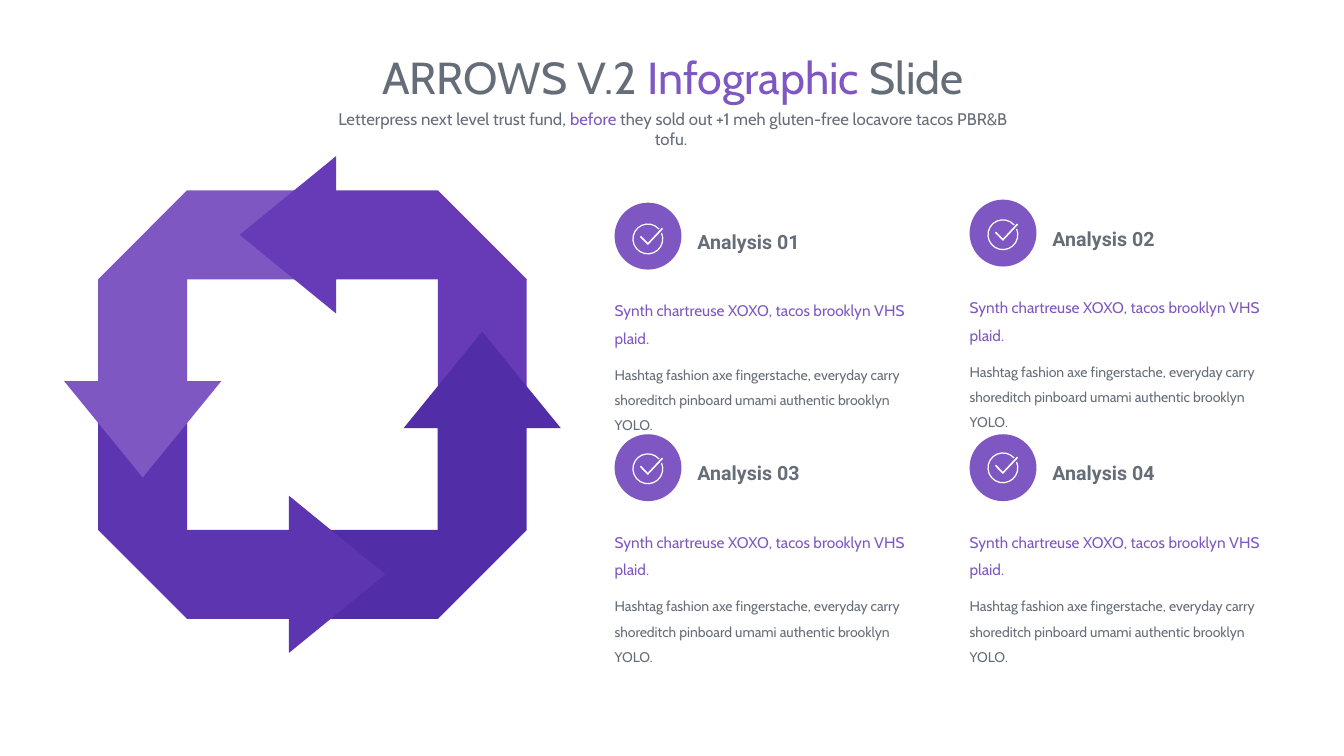
from math import cos, radians, sin

from pptx import Presentation
from pptx.dml.color import RGBColor
from pptx.enum.shapes import MSO_SHAPE
from pptx.enum.text import MSO_ANCHOR, MSO_AUTO_SIZE, PP_ALIGN
from pptx.util import Pt

ROUND = MSO_SHAPE.ROUNDED_RECTANGLE
TOP, MIDDLE = MSO_ANCHOR.TOP, MSO_ANCHOR.MIDDLE
LEFT, CENTER = PP_ALIGN.LEFT, PP_ALIGN.CENTER
FIXED = MSO_AUTO_SIZE.NONE

COLORS = {
    "gray": "656D78",
    "violet": "7E57C2",
    "purple": "673AB7",
    "indigo": "512DA8",
    "plum": "5E35B1",
    "white": "FFFFFF",
}
FRAME = {"word_wrap": True, "auto_size": FIXED, "vertical_anchor": TOP}
INSET = {side: Pt(0) for side in
         ("margin_left", "margin_top", "margin_right", "margin_bottom")}
TITLE = {"name": "Cabin", "size": Pt(32), "bold": False}
INTRO = {"name": "Cabin", "size": Pt(12)}
LABEL = {"name": "Roboto", "size": Pt(14), "bold": True}
LEAD = {"name": "Cabin", "size": Pt(11)}
BODY = {"name": "Cabin", "size": Pt(10)}


def color(name):
    return RGBColor.from_string(COLORS[name])


def apply(target, values):
    for key, value in values.items():
        setattr(target, key, value)


def write(para, runs, font, **layout):
    apply(para, layout)
    for text, tint in runs:
        run = para.add_run()
        run.text = text
        apply(run.font, font)
        run.font.color.rgb = color(tint)


def add_text(slide, x, y, w, h, **extra):
    box = slide.shapes.add_textbox(Pt(x), Pt(y), Pt(w), Pt(h))
    apply(box.text_frame, {**FRAME, **extra})
    return box.text_frame


def paint(shape, tint):
    shape.shadow.inherit = False
    shape.fill.solid()
    shape.fill.fore_color.rgb = color(tint)
    shape.line.fill.background()


def draw(slide, x, y, paths, tint):
    paths = [[(Pt(x + dx), Pt(y + dy)) for dx, dy in path] for path in paths]
    pen = slide.shapes.build_freeform(*paths[0][0])
    pen.add_line_segments(paths[0][1:], close=True)
    for path in paths[1:]:
        pen.move_to(*path[0])
        pen.add_line_segments(path[1:], close=True)
    paint(pen.convert_to_shape(), tint)


def add_head(slide, x, y, w):
    title = slide.shapes.title
    apply(title, {"left": Pt(x), "top": Pt(y), "width": Pt(w), "height": Pt(46)})
    apply(title.text_frame, FRAME)
    write(title.text_frame.paragraphs[0],
          [("ARROWS V.2 ", "gray"), ("Infographic ", "violet"), ("Slide", "gray")],
          TITLE, alignment=CENTER)
    intro = add_text(slide, x + 47.4, y + 42.4, w - 94.4, 21.8)
    write(intro.paragraphs[0],
          [("Letterpress next level trust fund, ", "gray"), ("before", "violet"),
           (" they sold out +1 meh gluten-free locavore tacos PBR&B tofu. ", "gray")],
          INTRO, alignment=CENTER)


def turn(points, count):
    for _ in range(count):
        points = [(-y, x) for x, y in points]
    return points


def add_cycle(slide, x, y, size):
    out = size / 2
    inn, neck, tip = out * 0.585, out * 0.11, out * -0.34
    mid = (out + inn) / 2
    wing = out * 0.367
    tail = [(inn, -out), (inn, neck), (out, neck), (out, -inn)]
    arrow = [(out, -inn), (inn, -out), (neck, -out), (neck, -mid - wing),
             (tip, -mid), (neck, -mid + wing), (neck, -inn)]
    tints = ["purple", "indigo", "plum", "violet"]
    parts = [(part, step) for step in range(4) for part in (tail, arrow)]
    parts.append(parts.pop(1))
    for part, step in parts:
        draw(slide, x + out, y + out, [turn(part, step)], tints[step])


def add_icon(slide, x, y):
    def arc(radius, angles):
        return [(radius * cos(radians(a)), radius * sin(radians(a))) for a in angles]

    sweep = range(-23, 320, 18)
    ring = arc(11.1, sweep) + arc(10.2, reversed(sweep))
    check = [(0, 2.8), (-4.9, -2.2), (-5.7, -1.4), (0, 4.4), (10.9, -7.2), (10.1, -8)]
    draw(slide, x, y, [ring, check], "white")


def add_card(slide, x, y, drop, label):
    badge = slide.shapes.add_shape(ROUND, Pt(x), Pt(y), Pt(47.8), Pt(47.8))
    badge.adjustments[0] = 0.5
    paint(badge, "violet")
    name = add_text(slide, x + 59.2, y + 15.2, 139, 20,
                    **{**INSET, "vertical_anchor": MIDDLE})
    write(name.paragraphs[0], [(label, "gray")], LABEL,
          alignment=LEFT, line_spacing=1.3)
    note = add_text(slide, x, y + 63.8, 222.8, 62.6, **INSET)
    write(note.paragraphs[0],
          [("Synth chartreuse XOXO, tacos brooklyn VHS plaid.", "violet")],
          LEAD, alignment=LEFT, line_spacing=1.5)
    write(note.add_paragraph(),
          [("Hashtag fashion axe fingerstache, everyday carry shoreditch "
            "pinboard umami authentic brooklyn YOLO.", "gray")],
          BODY, alignment=LEFT, line_spacing=1.5, space_before=Pt(7.5))
    add_icon(slide, x + 23.8, y + drop)


def main():
    deck = Presentation()
    apply(deck, {"slide_width": Pt(960), "slide_height": Pt(540)})
    slide = deck.slides.add_slide(deck.slide_layouts[5])
    add_head(slide, 183.2, 31.8, 594.7)
    add_cycle(slide, 70.2, 136, 306)
    cards = [(144.8, 25.9), (142.6, 25.1), (310.2, 24.7), (310.2, 24)]
    for i, (top, drop) in enumerate(cards):
        add_card(slide, 439 + 253.6 * (i % 2), top, drop, f"Analysis {i + 1:02}")
    deck.save("out.pptx")


if __name__ == "__main__":
    main()
